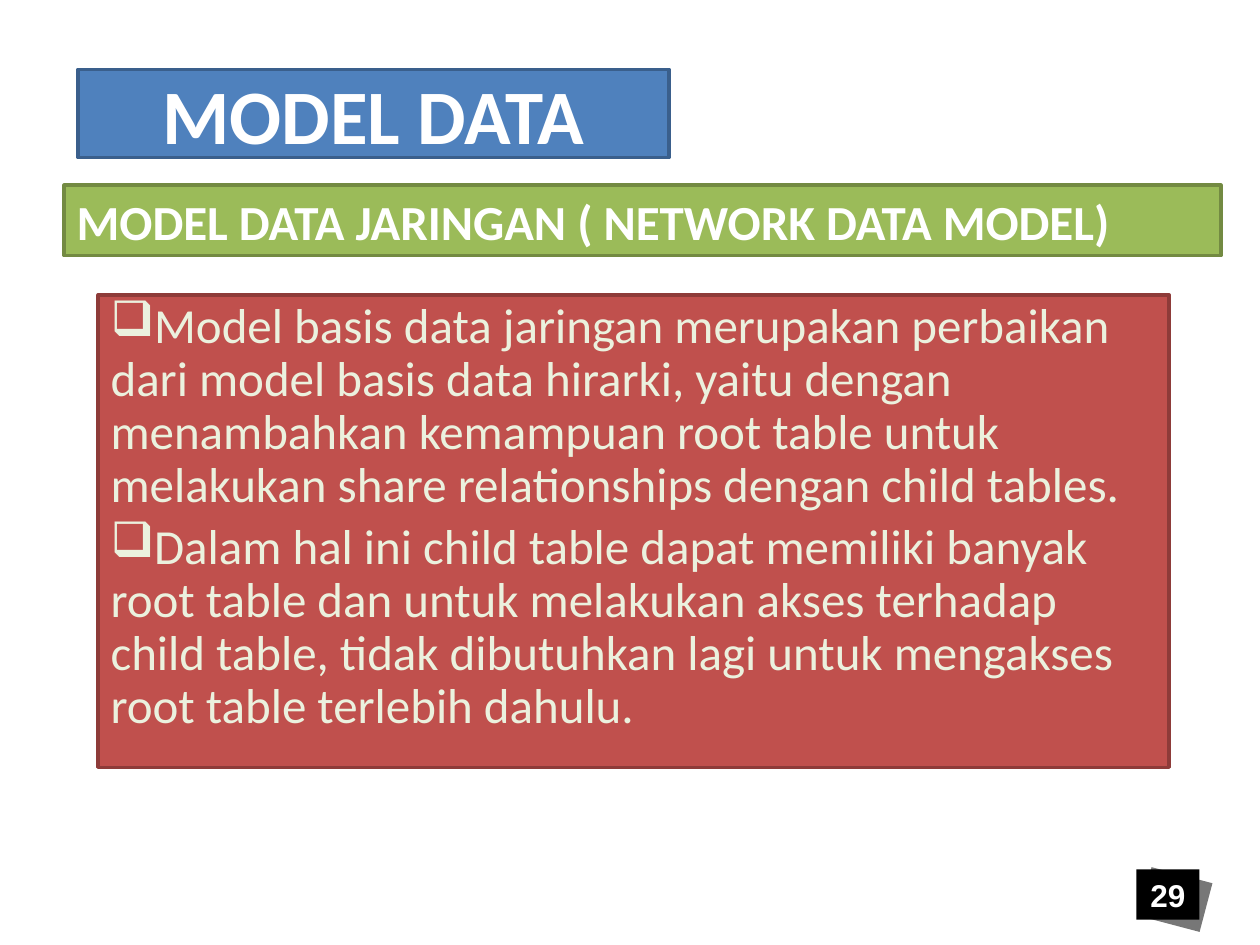
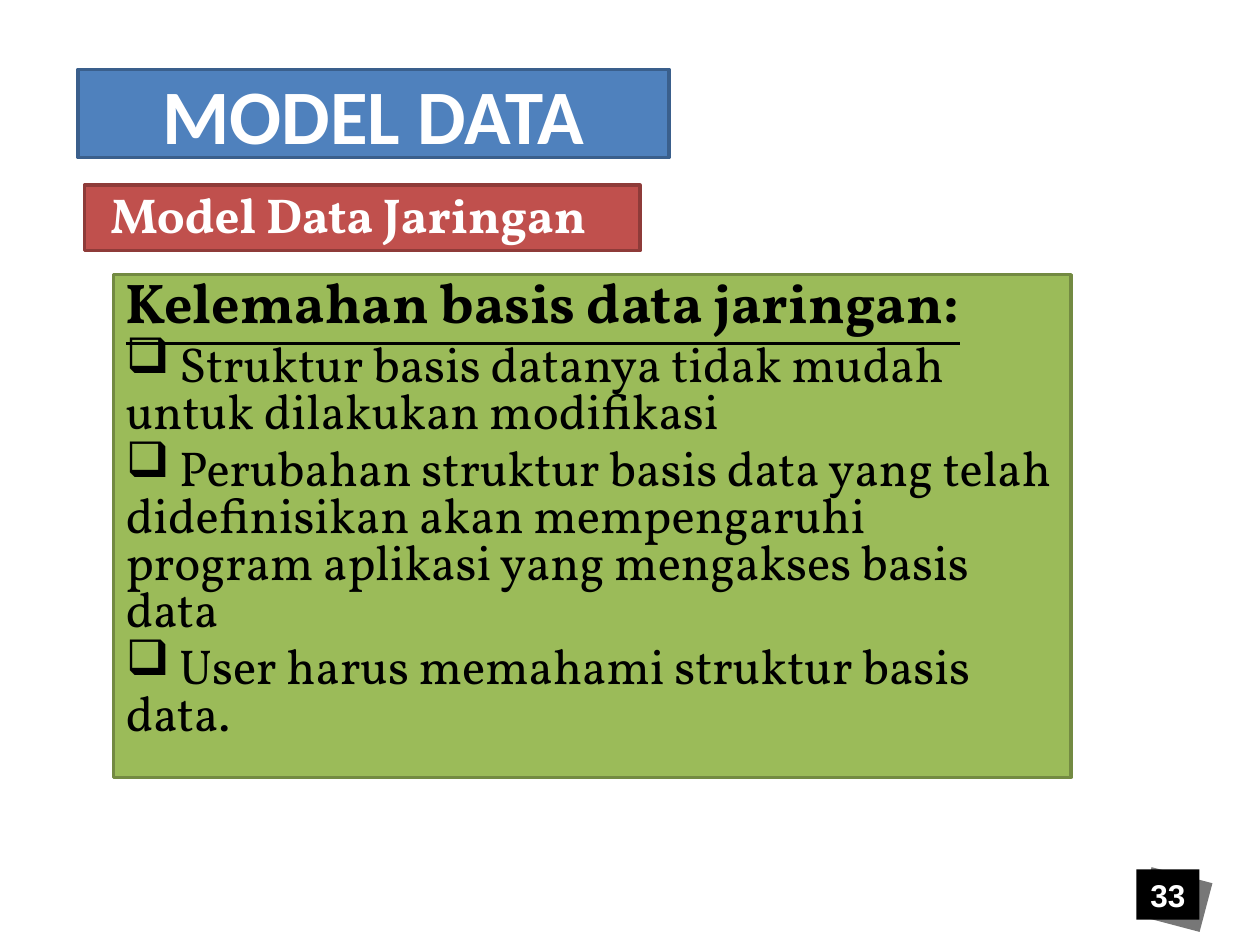
from dataclasses import dataclass

from lxml.etree import SubElement
from pptx import Presentation
from pptx.dml.color import RGBColor
from pptx.enum.shapes import MSO_SHAPE
from pptx.enum.text import MSO_ANCHOR, MSO_AUTO_SIZE, PP_ALIGN
from pptx.oxml.ns import qn
from pptx.shapes.autoshape import Shape
from pptx.slide import Slide
from pptx.text.text import TextFrame
from pptx.util import Pt

WHITE = RGBColor(0xFF, 0xFF, 0xFF)
BLACK = RGBColor(0x00, 0x00, 0x00)
GRAY = RGBColor(0x77, 0x77, 0x77)
CREAM = RGBColor(0xEB, 0xF1, 0xDE)
BLUE = RGBColor(0x4F, 0x81, 0xBD)
DARK_BLUE = RGBColor(0x3A, 0x5F, 0x8C)
GREEN = RGBColor(0x9B, 0xBB, 0x59)
DARK_GREEN = RGBColor(0x73, 0x8A, 0x42)
RED = RGBColor(0xC0, 0x50, 0x4D)
DARK_RED = RGBColor(0x8E, 0x3B, 0x39)

PARAGRAPH_GAP = Pt(5.6)


@dataclass(frozen=True)
class Frame:
    left: float
    top: float
    width: float
    height: float


@dataclass(frozen=True)
class Run:
    text: str
    font: str
    color: RGBColor
    size: float = 28
    bold: bool = False
    underline: bool = False


@dataclass(frozen=True)
class Paragraph:
    runs: tuple[Run, ...]
    line_spacing: float = 1.0
    bullet: str = ""
    align: PP_ALIGN = PP_ALIGN.LEFT


@dataclass(frozen=True)
class Panel:
    frame: Frame
    fill: RGBColor
    border: RGBColor
    paragraphs: tuple[Paragraph, ...]


@dataclass(frozen=True)
class ModelSlide:
    number: int
    heading: Panel
    content: Panel


TITLE = Panel(
    Frame(44.64, 39.6, 337.68, 50.4), BLUE, DARK_BLUE,
    (Paragraph((Run("MODEL DATA", "Calibri", WHITE, 44, bold=True),),
               align=PP_ALIGN.CENTER),),
)
BADGE_SHADOW = Frame(653.76, 499.68, 36, 28.8)
BADGE = Frame(649.44, 496.8, 36, 28.8)


def bullets(texts: list[str], font: str, color: RGBColor,
            line_spacing: float) -> tuple[Paragraph, ...]:
    return tuple(Paragraph((Run(text, font, color),), line_spacing, "❑")
                 for text in texts)


SLIDES = [
    ModelSlide(
        29,
        heading=Panel(
            Frame(36.72, 105.84, 660.96, 40.32), GREEN, DARK_GREEN,
            (Paragraph((Run("MODEL DATA JARINGAN ( NETWORK DATA MODEL)",
                            "Calibri", WHITE, bold=True),)),),
        ),
        content=Panel(
            Frame(56.16, 168.48, 612, 270), RED, DARK_RED,
            bullets([
                "Model basis data jaringan merupakan perbaikan dari model basis data "
                "hirarki, yaitu dengan menambahkan kemampuan root table untuk "
                "melakukan share relationships dengan child tables.",
                "Dalam hal ini child table dapat memiliki banyak root table dan untuk "
                "melakukan akses terhadap child table, tidak dibutuhkan lagi untuk "
                "mengakses root table terlebih dahulu.",
            ], "Calibri", CREAM, 0.9),
        ),
    ),
    ModelSlide(
        33,
        heading=Panel(
            Frame(48.24, 105.84, 317.52, 37.44), RED, DARK_RED,
            (Paragraph((Run(" ", "Arial", WHITE, bold=True),
                        Run("Model Data Jaringan", "Vollkorn", WHITE, bold=True)),
                       0.9),),
        ),
        content=Panel(
            Frame(64.8, 156.96, 547.2, 287.28), GREEN, DARK_GREEN,
            (Paragraph((Run("Kelemahan basis data jaringan:", "Vollkorn", BLACK, 32,
                            bold=True, underline=True),), 0.8),
             *bullets([
                 " Struktur basis datanya tidak mudah untuk dilakukan modifikasi",
                 " Perubahan struktur basis data yang telah didefinisikan akan "
                 "mempengaruhi program aplikasi yang mengakses basis data",
                 " User harus memahami struktur basis data.",
             ], "Vollkorn", BLACK, 0.8)),
        ),
    ),
]


def place(shape: Shape, frame: Frame) -> None:
    shape.left, shape.top = Pt(frame.left), Pt(frame.top)
    shape.width, shape.height = Pt(frame.width), Pt(frame.height)


def paint(shape: Shape, fill: RGBColor, border: RGBColor | None = None) -> None:
    shape.shadow.inherit = False
    shape.fill.solid()
    shape.fill.fore_color.rgb = fill
    if border is None:
        shape.line.fill.background()
    else:
        shape.line.color.rgb = border
        shape.line.width = Pt(2)


def write(text_frame: TextFrame, paragraphs: tuple[Paragraph, ...],
          anchor: MSO_ANCHOR = MSO_ANCHOR.TOP) -> None:
    text_frame.word_wrap = True
    text_frame.auto_size = MSO_AUTO_SIZE.NONE
    text_frame.vertical_anchor = anchor
    for index, content in enumerate(paragraphs):
        paragraph = text_frame.add_paragraph() if index else text_frame.paragraphs[0]
        paragraph.alignment = content.align
        paragraph.line_spacing = content.line_spacing
        paragraph.space_before = PARAGRAPH_GAP if index else Pt(0)
        if content.bullet:
            properties = paragraph._p.get_or_add_pPr()
            SubElement(properties, qn("a:buChar")).set("char", content.bullet)
        for piece in content.runs:
            run = paragraph.add_run()
            run.text = piece.text
            run.font.name = piece.font
            run.font.size = Pt(piece.size)
            run.font.bold = piece.bold
            run.font.underline = piece.underline
            run.font.color.rgb = piece.color


def add_rectangle(shapes, frame: Frame) -> Shape:
    return shapes.add_shape(MSO_SHAPE.RECTANGLE, Pt(frame.left), Pt(frame.top),
                            Pt(frame.width), Pt(frame.height))


def add_title(slide: Slide) -> None:
    title = slide.shapes.title
    place(title, TITLE.frame)
    geometry = SubElement(title._element.spPr, qn("a:prstGeom"))
    geometry.set("prst", "roundRect")
    SubElement(geometry, qn("a:avLst"))
    paint(title, TITLE.fill, TITLE.border)
    write(title.text_frame, TITLE.paragraphs, MSO_ANCHOR.MIDDLE)


def add_badge(slide: Slide, number: int) -> None:
    """Add the page number on a black square with a tilted grey one behind."""
    group = slide.shapes.add_group_shape()
    tilted = add_rectangle(group.shapes, BADGE_SHADOW)
    tilted.rotation = 14.8
    paint(tilted, GRAY)
    front = add_rectangle(group.shapes, BADGE)
    paint(front, BLACK)
    label = Run(str(number), "Arial", WHITE, 18, bold=True)
    write(front.text_frame, (Paragraph((label,), align=PP_ALIGN.CENTER),))


def add_panel(slide: Slide, panel: Panel) -> None:
    box = add_rectangle(slide.shapes, panel.frame)
    paint(box, panel.fill, panel.border)
    write(box.text_frame, panel.paragraphs)


def main() -> None:
    presentation = Presentation()
    presentation.slide_width, presentation.slide_height = Pt(720), Pt(540)
    title_only = presentation.slide_layouts[5]
    for model in SLIDES:
        slide = presentation.slides.add_slide(title_only)
        add_title(slide)
        add_badge(slide, model.number)
        add_panel(slide, model.content)
        add_panel(slide, model.heading)
    presentation.save("out.pptx")


if __name__ == "__main__":
    main()
